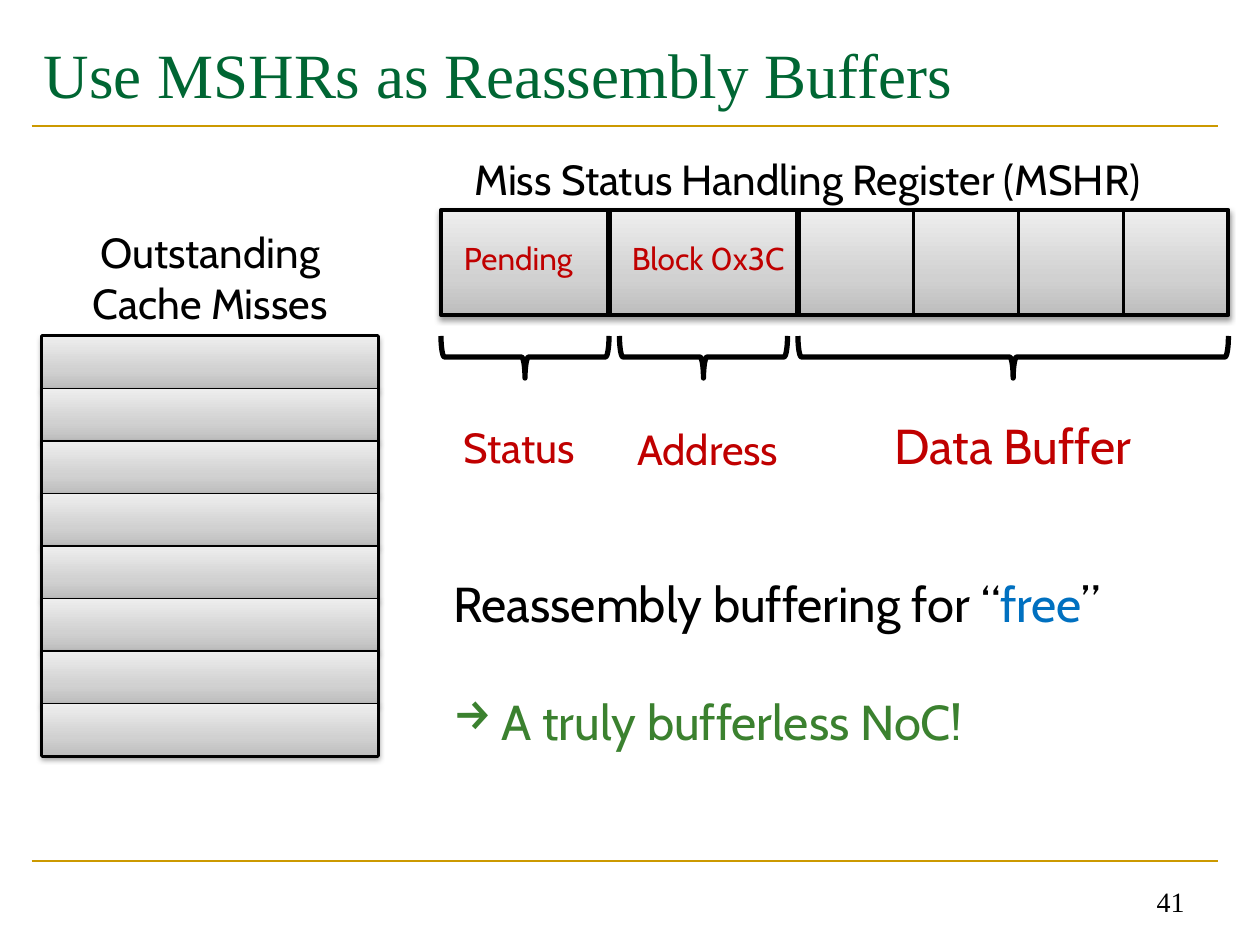
"""Build a slide on using MSHRs as reassembly buffers."""
from lxml.etree import SubElement
from pptx import Presentation
from pptx.dml.color import RGBColor
from pptx.enum.shapes import MSO_CONNECTOR, MSO_SHAPE
from pptx.enum.text import MSO_ANCHOR, PP_ALIGN
from pptx.oxml.ns import qn
from pptx.util import Inches, Pt

COLS, ROWS = 120, 90
HUES = {"ink": "000000", "paper": "FFFFFF", "gold": "CC9900", "title": "006633",
        "red": "C00000", "blue": "0070C0", "green": "3B812F"}
SHADES = [(0, "BDBDBD"), (35, "D1D1D1"), (100, "EEEEEE")]
SERIF, SANS = "Times New Roman", "Cabin"

RULES = [12, 82]
STACK, MISSES = (4, 32, 32, 40), 8
BANK = (42, 20, 75, 10)
SPLITS = [(58, 3), (76, 3), (87, 1.5), (97, 1.5), (107, 1.5)]
BRACES = [(42, 32, 16, 4), (59, 32, 16, 4), (76, 32, 41, 4)]

LEFT, MID, RIGHT = PP_ALIGN.LEFT, PP_ALIGN.CENTER, PP_ALIGN.RIGHT
TOP = MSO_ANCHOR.TOP
HEAD = {"word_wrap": True, "vertical_anchor": MSO_ANCHOR.MIDDLE}
FOOT = {"word_wrap": True, "vertical_anchor": MSO_ANCHOR.BOTTOM}
FREE = {"word_wrap": False, "vertical_anchor": TOP}
WRAP = {"word_wrap": True, "vertical_anchor": TOP}
TEXTS = [
    ((3, 2, 113, 10), HEAD, SERIF, 36, LEFT, [[("Use MSHRs as Reassembly Buffers", "title")]]),
    ((86, 82, 28, 6), FOOT, SERIF, 16, RIGHT, [[("41", "ink")]]),
    ((7, 21, 26, 11), FREE, SANS, 24, MID, [[("Outstanding", "ink")], [("Cache Misses", "ink")]]),
    ((44, 14, 70, 6), FREE, SANS, 24, LEFT, [[("Miss Status Handling Register (MSHR)", "ink")]]),
    ((43, 22.2, 13, 4.8), FREE, SANS, 18, LEFT, [[("Pending", "red")]]),
    ((59, 22.2, 17, 4.8), FREE, SANS, 18, LEFT, [[("Block 0x3C", "red")]]),
    ((84, 39, 26, 6.8), FREE, SANS, 28, LEFT, [[("Data Buffer", "red")]]),
    ((43, 39.6, 13.6, 6), FREE, SANS, 24, LEFT, [[("Status", "red")]]),
    ((59.5, 39.7, 16.5, 6), FREE, SANS, 24, LEFT, [[("Address", "red")]]),
    ((42, 54, 73, 18), WRAP, SANS, 28, LEFT, [
        [("Reassembly buffering for “", "ink"), ("free", "blue"), ("”", "ink")],
        [("A truly bufferless NoC!", "green")]]),
]

deck = Presentation()
deck.slide_width, deck.slide_height = Inches(10), Inches(7.5)
slide = deck.slides.add_slide(deck.slide_layouts[6])
shapes = slide.shapes


def place(*box):
    """Turn grid units into slide lengths."""
    spans = (deck.slide_width / COLS, deck.slide_height / ROWS) * 2
    return [round(n * span) for n, span in zip(box, spans)]


def apply(obj, form):
    """Set each format value on an object."""
    for name, value in form.items():
        setattr(obj, name, value)


def hue(name):
    """Look up a colour by name."""
    return RGBColor.from_string(HUES[name])


def stroke(item, width, name="ink"):
    """Give an outline its colour and width."""
    item.line.color.rgb = hue(name)
    item.line.width = Pt(width)


def link(start, end, width, name="ink"):
    """Draw a straight line without a shadow."""
    line = shapes.add_connector(MSO_CONNECTOR.STRAIGHT, *place(*start, *end))
    stroke(line, width, name)
    SubElement(line._element.spPr, qn("a:effectLst"))


def block(box, width, kind=MSO_SHAPE.RECTANGLE):
    """Draw an outlined shape without a shadow."""
    item = shapes.add_shape(kind, *place(*box))
    item.shadow.inherit = False
    stroke(item, width)
    return item


def cell(box, width):
    """Draw a shaded cell with a soft shadow."""
    item = block(box, width)
    item.fill.gradient()
    item.fill.gradient_angle = 90
    props = item._element.spPr
    stops = props.find(".//" + qn("a:gsLst"))
    for old in list(stops):
        stops.remove(old)
    for spot, tone in SHADES:
        stop = SubElement(stops, qn("a:gs"), pos=str(spot * 1000))
        SubElement(stop, qn("a:srgbClr"), val=tone)
    cast = SubElement(props.find(qn("a:effectLst")), qn("a:outerShdw"), blurRad=str(Pt(3.1)),
                      dist=str(Pt(1.6)), dir="5400000", rotWithShape="0")
    tint = SubElement(cast, qn("a:srgbClr"), val=HUES["ink"])
    SubElement(tint, qn("a:alpha"), val="38000")


def brace(box):
    """Draw a brace that opens upward over a box."""
    left, top, wide, high = box
    turned = (left + (wide - high) / 2, top + (high - wide) / 2, high, wide)
    item = block(turned, 3, MSO_SHAPE.LEFT_BRACE)
    item.fill.background()
    item.rotation = 270


def write(box, form, face, size, align, lines):
    """Add a text box and return its last paragraph."""
    frame = shapes.add_textbox(*place(*box)).text_frame
    apply(frame, form)
    for row, runs in enumerate(lines):
        para = frame.add_paragraph() if row else frame.paragraphs[0]
        para.alignment = align
        for words, name in runs:
            run = para.add_run()
            run.text = words
            apply(run.font, {"name": face, "size": Pt(size)})
            run.font.color.rgb = hue(name)
    return para


for y in RULES:
    link((3, y), (116, y), 1.5, "gold")

frame = block(STACK, 2)
frame.fill.solid()
frame.fill.fore_color.rgb = hue("paper")
left, top, wide, high = STACK
step = high / MISSES
for row in range(MISSES):
    cell((left, top + row * step, wide, step), 0.75)

cell(BANK, 2.25)
for x, width in SPLITS:
    link((x, BANK[1]), (x, BANK[1] + BANK[3]), width)
for box in BRACES:
    brace(box)

for text in TEXTS:
    last = write(*text)
last.space_before = Pt(34)
props = last._p.get_or_add_pPr()
indent = Inches(0.38)
props.set("marL", str(indent))
props.set("indent", str(-indent))
SubElement(props, qn("a:buChar"), char="→")

deck.save("out.pptx")
